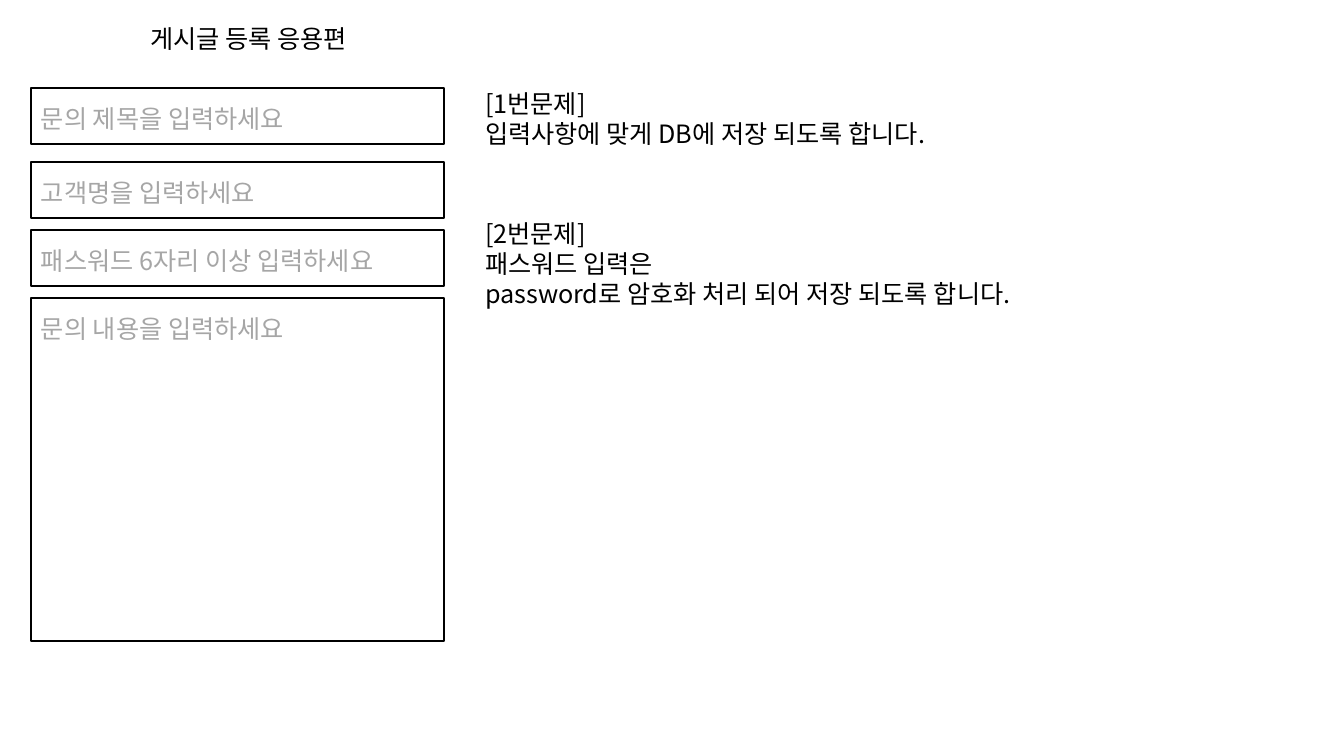
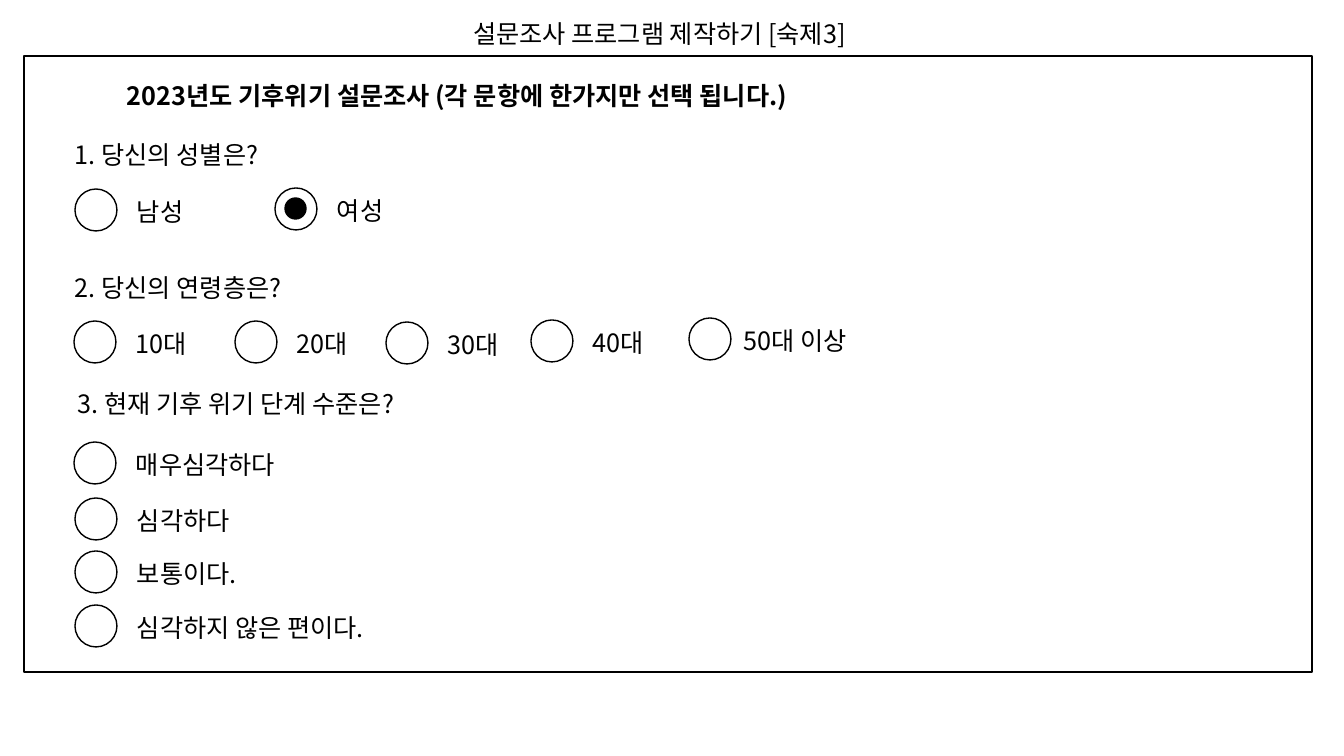
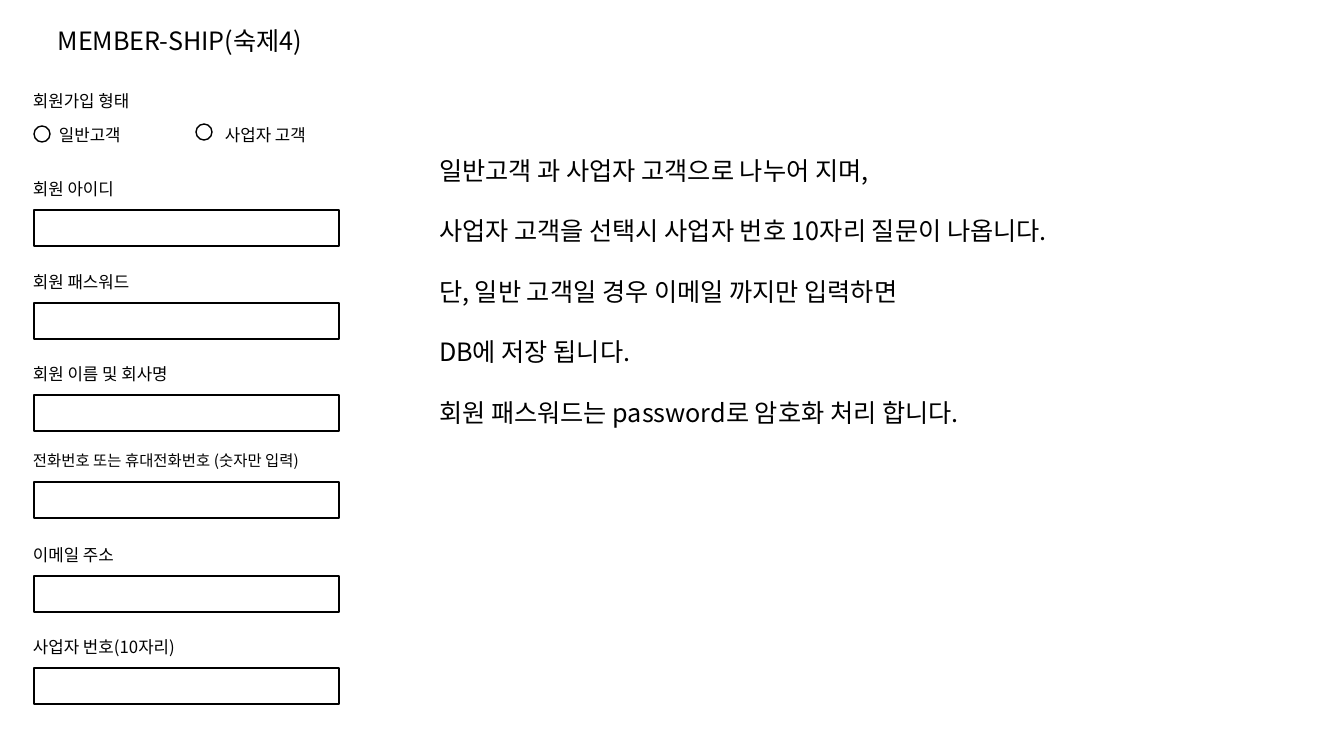
from pptx import Presentation
from pptx.dml.color import RGBColor
from pptx.enum.shapes import MSO_SHAPE
from pptx.enum.text import MSO_ANCHOR, MSO_AUTO_SIZE, PP_ALIGN
from pptx.oxml.ns import qn
from pptx.util import Inches, Pt
from lxml import etree

COLORS = {"ink": "000000", "hint": "A6A6A6"}
FONT = "Noto Sans CJK KR"
SCALE = Inches(1) / 100.8  # EMU in one pixel


def write(box, place, lines, size=18, color="ink", align=PP_ALIGN.LEFT, bold=False, gap=0):
    """Place a text box or placeholder and fill it, one paragraph a line."""
    box.left, box.top, box.width, box.height = [round(n * SCALE) for n in place]
    frame = box.text_frame
    frame.word_wrap = True
    frame.auto_size = MSO_AUTO_SIZE.NONE
    frame.vertical_anchor = MSO_ANCHOR.TOP
    frame.margin_top = round(7 * SCALE)
    frame.margin_bottom = 0
    for number, line in enumerate(lines):
        para = frame.add_paragraph() if number else frame.paragraphs[0]
        para.alignment = align
        para.line_spacing = Pt(size * 1.2)
        para.space_before = Pt(gap if number else 0)
        if box.is_placeholder:
            props = para._p.get_or_add_pPr()
            props.set("marL", "0")
            props.set("indent", "0")
            etree.SubElement(props, qn("a:buNone"))
        span = para.add_run()
        span.text = line
        span.font.name = FONT
        span.font.size = Pt(size)
        span.font.bold = bold
        span.font.color.rgb = RGBColor.from_string(COLORS[color])
        etree.SubElement(span._r.get_or_add_rPr(), qn("a:ea")).set("typeface", FONT)


def outline(page, kind, place, filled=False):
    """Draw a thin black shape, empty or filled with black."""
    shape = page.shapes.add_shape(kind, *[round(n * SCALE) for n in place])
    shape.shadow.inherit = False
    shape.line.color.rgb = RGBColor.from_string(COLORS["ink"])
    shape.line.width = Pt(1)
    if filled:
        shape.fill.solid()
        shape.fill.fore_color.rgb = RGBColor.from_string(COLORS["ink"])
    else:
        shape.fill.background()


deck = Presentation()
deck.slide_width = round(1344 * SCALE)
deck.slide_height = round(756 * SCALE)
content_layout, two_content_layout, title_layout = [deck.slide_layouts[n] for n in (1, 3, 5)]

# Post form
page = deck.slides.add_slide(two_content_layout)
write(page.shapes.title, (22, 16, 453, 40), ["게시글 등록 응용편"], align=PP_ALIGN.CENTER)
fields = [
    (88, 56, 379, "문의 제목을 입력하세요"),
    (162, 56, 379, "고객명을 입력하세요"),
    (230, 56, 396, "패스워드 6자리 이상 입력하세요"),
    (298, 343, 396, "문의 내용을 입력하세요"),
]
for top, height, hint_width, hint in fields:
    outline(page, MSO_SHAPE.RECTANGLE, (31, top, 413, height))
    write(page.shapes.add_textbox(0, 0, 0, 0), (31, top + 8, hint_width, 40), [hint], color="hint")
write(page.placeholders[1], (475, 81, 541, 72),
      ["[1번문제]", "입력사항에 맞게 DB에 저장 되도록 합니다."])
write(page.placeholders[2], (475, 211, 608, 102),
      ["[2번문제]", "패스워드 입력은", "password로 암호화 처리 되어 저장 되도록 합니다."])

# Survey
page = deck.slides.add_slide(title_layout)
outline(page, MSO_SHAPE.RECTANGLE, (24, 56, 1288, 616))
write(page.shapes.title, (463, 11, 435, 40), ["설문조사 프로그램 제작하기 [숙제3]"])
write(page.shapes.add_textbox(0, 0, 0, 0), (58, 73, 798, 40),
      ["2023년도 기후위기 설문조사 (각 문항에 한가지만 선택 됩니다.)"],
      align=PP_ALIGN.CENTER, bold=True)
questions = [
    (65, 132, 252, "1. 당신의 성별은?"),
    (65, 265, 252, "2. 당신의 연령층은?"),
    (68, 381, 464, "3. 현재 기후 위기 단계 수준은?"),
]
for left, top, width, question in questions:
    write(page.shapes.add_textbox(0, 0, 0, 0), (left, top, width, 40), [question])
options = [
    (75, 189, 52, 99, "남성"),
    (275, 188, 52, 99, "여성"),
    (74, 321, 52, 99, "10대"),
    (235, 321, 52, 99, "20대"),
    (386, 322, 52, 99, "30대"),
    (531, 320, 52, 99, "40대"),
    (689, 318, 45, 174, "50대 이상"),
    (74, 442, 52, 201, "매우심각하다"),
    (75, 498, 52, 157, "심각하다"),
    (75, 551, 52, 127, "보통이다."),
    (75, 605, 52, 371, "심각하지 않은 편이다."),
]
for left, top, indent, width, option in options:
    outline(page, MSO_SHAPE.OVAL, (left, top, 42, 42))
    write(page.shapes.add_textbox(0, 0, 0, 0), (left + indent, top, width, 41), [option])
outline(page, MSO_SHAPE.OVAL, (285, 198, 21, 21), filled=True)

# Sign-up form
page = deck.slides.add_slide(content_layout)
write(page.shapes.title, (30, 18, 300, 40), ["MEMBER-SHIP(숙제4)"], align=PP_ALIGN.CENTER)
labels = [
    (23, 84, 231, 12, "회원가입 형태"),
    (49, 118, 144, 12, "일반고객"),
    (215, 118, 144, 12, "사업자 고객"),
]
entries = [
    (23, 172, 231, 12, "회원 아이디"),
    (23, 265, 231, 12, "회원 패스워드"),
    (23, 357, 231, 12, "회원 이름 및 회사명"),
    (23, 444, 316, 11, "전화번호 또는 휴대전화번호 (숫자만 입력)"),
    (23, 538, 253, 12, "이메일 주소"),
    (23, 630, 253, 12, "사업자 번호(10자리)"),
]
for left, top, width, size, label in labels + entries:
    write(page.shapes.add_textbox(0, 0, 0, 0), (left, top, width, 30), [label], size=size)
for left, top in [(34, 126), (196, 124)]:
    outline(page, MSO_SHAPE.OVAL, (left, top, 16, 16))
for left, top, *_ in entries:
    outline(page, MSO_SHAPE.RECTANGLE, (left + 11, top + 38, 305, 36))
write(page.placeholders[1], (429, 148, 773, 285), [
    "일반고객 과 사업자 고객으로 나누어 지며,",
    "사업자 고객을 선택시 사업자 번호 10자리 질문이 나옵니다.",
    "단, 일반 고객일 경우 이메일 까지만 입력하면",
    "DB에 저장 됩니다.",
    "회원 패스워드는 password로 암호화 처리 합니다.",
], gap=21.6)

deck.save("out.pptx")
